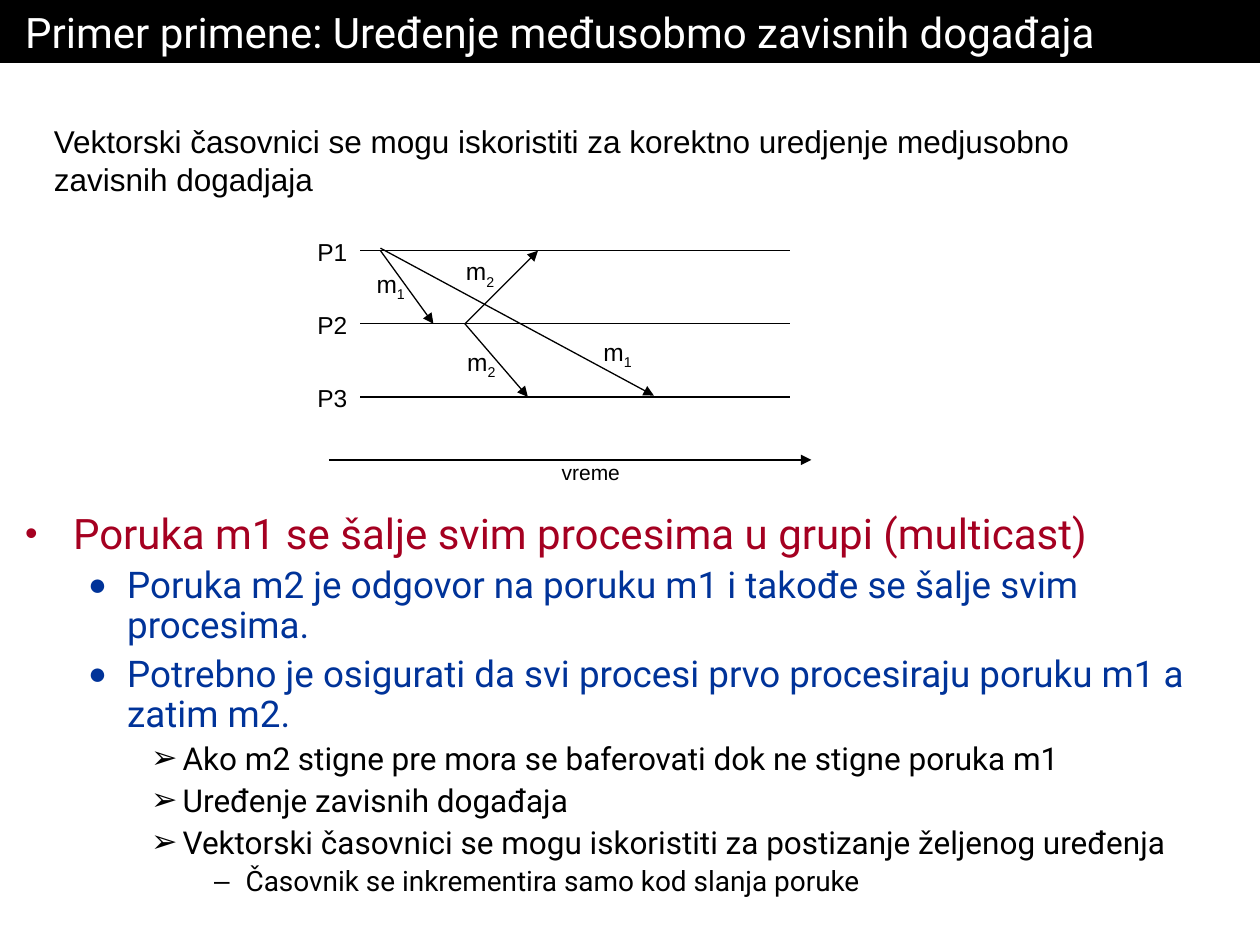
from lxml.etree import SubElement
from pptx import Presentation
from pptx.dml.color import RGBColor
from pptx.enum.shapes import MSO_CONNECTOR
from pptx.enum.text import MSO_ANCHOR, MSO_AUTO_SIZE, PP_ALIGN
from pptx.oxml.ns import qn
from pptx.util import Inches, Pt

BLACK = RGBColor(0x00, 0x00, 0x00)
WHITE = RGBColor(0xFF, 0xFF, 0xFF)
RED = RGBColor(0xA5, 0x00, 0x21)
BLUE = RGBColor(0x00, 0x33, 0x99)

WIDTH, HEIGHT = 10, 7.5
TIMELINE_LEFT, TIMELINE_RIGHT = 2.86, 6.27
TIMELINES = [1.99 + 0.58 * row for row in range(3)]


def add_line(shapes, start, end, arrow=False):
    line = shapes.add_connector(MSO_CONNECTOR.STRAIGHT, *map(Inches, start + end))
    line.line.color.rgb = BLACK
    line.line.width = Pt(0.75)
    if arrow:
        SubElement(line.line._get_or_add_ln(), qn("a:tailEnd"), type="triangle")
    SubElement(line._element.spPr, qn("a:effectLst"))


def add_label(shapes, bounds, text, size, subscript="", wrap=False):
    box = shapes.add_textbox(*map(Inches, bounds))
    frame = box.text_frame
    frame.word_wrap = wrap
    frame.auto_size = MSO_AUTO_SIZE.SHAPE_TO_FIT_TEXT
    frame.vertical_anchor = MSO_ANCHOR.BOTTOM
    para = frame.paragraphs[0]
    for content in filter(None, (text, subscript)):
        span = para.add_run()
        span.text = content
        span.font.name = "Arial"
        span.font.size = Pt(size)
        span.font.color.rgb = BLACK
    if subscript:
        span._r.get_or_add_rPr().set("baseline", "-25000")


deck = Presentation()
deck.slide_width, deck.slide_height = Inches(WIDTH), Inches(HEIGHT)
page = deck.slides.add_slide(deck.slide_layouts[1])
title, body = page.placeholders

# Title bar and body area
areas = [
    (title, (0, 0, WIDTH, 0.5), 0.05, MSO_ANCHOR.MIDDLE),
    (body, (0, 3.92, WIDTH, HEIGHT - 3.92), 0.15, MSO_ANCHOR.TOP),
]
for holder, bounds, inset, anchor in areas:
    holder.left, holder.top, holder.width, holder.height = map(Inches, bounds)
    settings = {
        "margin_left": Inches(0.2),
        "margin_right": Inches(0.2),
        "margin_top": Inches(inset),
        "margin_bottom": Inches(inset),
        "vertical_anchor": anchor,
        "word_wrap": True,
        "auto_size": MSO_AUTO_SIZE.NONE,
    }
    for name, value in settings.items():
        setattr(holder.text_frame, name, value)

title.fill.solid()
title.fill.fore_color.rgb = BLACK
title.text_frame.text = "Primer primene: Uređenje međusobmo zavisnih događaja"
para = title.text_frame.paragraphs[0]
para.alignment = PP_ALIGN.LEFT
para.font.name = "Roboto"
para.font.size = Pt(24)
para.font.color.rgb = WHITE

# Bulleted list
levels = [
    {"bullet": "•", "bullet_size": 85, "margin": 0.38, "hang": 0.38, "size": 24, "before": 6, "color": RED},
    {"bullet": "●", "bullet_size": 85, "margin": 0.81, "hang": 0.31, "size": 21, "before": 5.2, "color": BLUE},
    {"bullet": "➢", "bullet_size": 100, "margin": 1.25, "hang": 0.25, "size": 18, "before": 4.5, "color": BLACK},
    {"bullet": "–", "bullet_size": 100, "margin": 1.75, "hang": 0.25, "size": 16, "before": 4, "color": BLACK},
]
items = [
    (0, "Poruka m1 se šalje svim procesima u grupi (multicast)"),
    (1, "Poruka m2 je odgovor na poruku m1 i takođe se šalje svim procesima."),
    (1, "Potrebno je osigurati da svi procesi prvo procesiraju poruku m1 a zatim m2."),
    (2, "Ako m2 stigne pre mora se baferovati dok ne stigne poruka m1"),
    (2, "Uređenje zavisnih događaja"),
    (2, "Vektorski časovnici se mogu iskoristiti za postizanje željenog uređenja"),
    (3, "Časovnik se inkrementira samo kod slanja poruke"),
]
body.text_frame.text = "\n".join(text for _, text in items)
for index, (para, (level, _)) in enumerate(zip(body.text_frame.paragraphs, items)):
    style = levels[level]
    properties = para._p.get_or_add_pPr()
    properties.set("marL", str(Inches(style["margin"])))
    properties.set("indent", str(-Inches(style["hang"])))
    bullet_color = SubElement(properties, qn("a:buClr"))
    SubElement(bullet_color, qn("a:srgbClr"), val=str(style["color"]))
    SubElement(properties, qn("a:buSzPct"), val=str(style["bullet_size"] * 1000))
    SubElement(properties, qn("a:buFont"), typeface="Arial")
    SubElement(properties, qn("a:buChar"), char=style["bullet"])
    para.level = level
    para.line_spacing = 0.9
    para.space_before = Pt(style["before"] if index else 0)
    para.font.name = "Roboto"
    para.font.size = Pt(style["size"])
    para.font.color.rgb = style["color"]

# Process timelines with the messages between them
diagram = page.shapes.add_group_shape().shapes
for number, y in enumerate(TIMELINES, 1):
    add_line(diagram, (TIMELINE_LEFT, y), (TIMELINE_RIGHT, y))
    add_label(diagram, (TIMELINE_LEFT - 0.44, y - 0.17, 0.44, 0.34), f"P{number}", 14)

first, second, third = TIMELINES
messages = [
    ("1", (3.02, first), (3.44, second), (2.89, 2.08)),
    ("1", (3.02, first - 0.02), (5.19, third - 0.01), (4.69, 2.62)),
    ("2", (3.69, second), (4.19, third), (3.61, 2.7)),
    ("2", (3.69, second), (4.27, first), (3.6, 1.98)),
]
for number, start, end, label_corner in messages:
    add_line(diagram, start, end, arrow=True)
    add_label(diagram, label_corner + (0.44, 0.37), "m", 14, subscript=number)

add_line(diagram, (2.61, 3.65), (6.44, 3.65), arrow=True)
add_label(diagram, (4.36, 3.6, 0.66, 0.3), "vreme", 12)

add_label(
    page.shapes,
    (0.33, 0.92, 8.52, 0.7),
    "Vektorski časovnici se mogu iskoristiti za korektno uredjenje medjusobno zavisnih dogadjaja",
    18,
    wrap=True,
)

deck.save("out.pptx")
